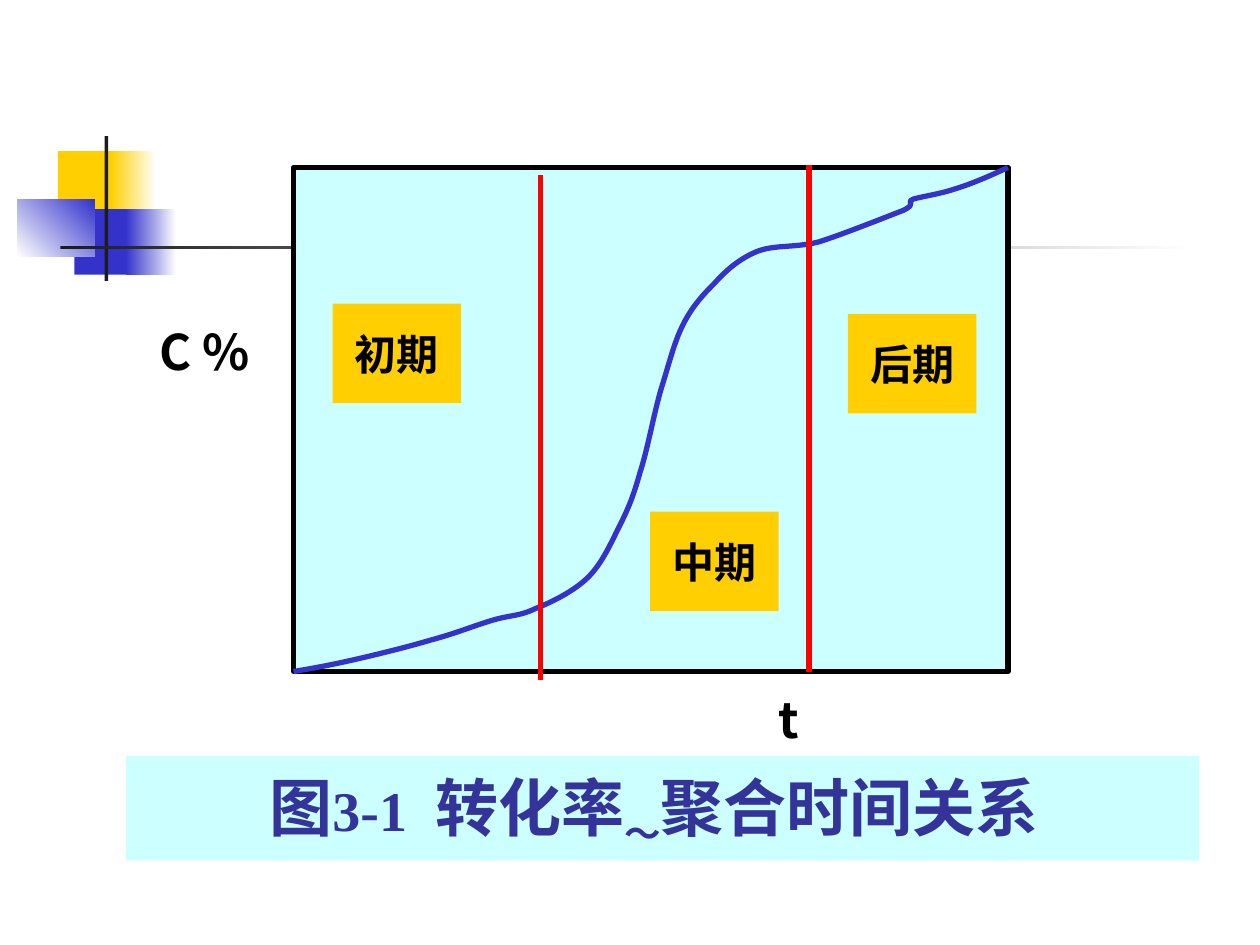
from lxml import etree
from pptx import Presentation
from pptx.dml.color import RGBColor
from pptx.enum.shapes import MSO_CONNECTOR, MSO_SHAPE
from pptx.enum.text import MSO_ANCHOR, PP_ALIGN
from pptx.oxml.ns import qn
from pptx.util import Inches, Pt

RECT = MSO_SHAPE.RECTANGLE
STRAIGHT = MSO_CONNECTOR.STRAIGHT
CENTER, LEFT = PP_ALIGN.CENTER, PP_ALIGN.LEFT
MIDDLE, BOTTOM, TOP = MSO_ANCHOR.MIDDLE, MSO_ANCHOR.BOTTOM, MSO_ANCHOR.TOP

SANS, SERIF, LABEL = "Noto Sans CJK SC", "Times New Roman", "Karla"
YELLOW, BLUE, DARK, WHITE = "FFCF01", "3333CC", "1C1C1C", "FFFFFF"
CYAN, BLACK, RED, NAVY = "CCFFFF", "000000", "FF0000", "333399"

DECOR = [
    ((0.46, 1.2, 0.48, 0.52), (YELLOW,), 0),
    ((0.88, 1.2, 0.36, 0.52), (YELLOW, WHITE), 0),
    ((0.59, 1.66, 0.46, 0.52), (BLUE,), 0),
    ((1, 1.66, 0.4, 0.52), (BLUE, WHITE), 0),
    ((0.14, 1.58, 0.61, 0.46), (WHITE, BLUE), 45),
    ((0.83, 1.08, 0.03, 1.15), (DARK,), 0),
    ((0.48, 1.95, 9, 0.03), (DARK, WHITE), 0),
]
TITLE = [
    ("图", 36, SANS, 0),
    ("3-1  ", 32, SERIF, 0),
    ("转化率", 36, SANS, 0),
    ("～", 36, SANS, -25000),
    ("聚合时间关系", 36, SANS, 0),
    (" ", 44, SANS, 0),
]
TITLE_BOX = (1, 6, 8.52, 0.83)
PLOT = (2.33, 1.33, 5.67, 4)
CURVE = [
    (8, 1.33),
    (7.85, 1.4), (7.71, 1.46), (7.58, 1.5),
    (7.46, 1.54), (7.32, 1.56), (7.25, 1.58),
    (7.18, 1.61), (7.29, 1.61), (7.17, 1.67),
    (7.04, 1.72), (6.69, 1.86), (6.5, 1.92),
    (6.31, 1.97), (6.14, 1.94), (6, 2),
    (5.86, 2.06), (5.76, 2.15), (5.67, 2.25),
    (5.57, 2.35), (5.49, 2.44), (5.42, 2.58),
    (5.35, 2.72), (5.31, 2.89), (5.25, 3.08),
    (5.19, 3.28), (5.14, 3.57), (5.08, 3.75),
    (5.03, 3.93), (4.99, 4.03), (4.92, 4.17),
    (4.85, 4.31), (4.78, 4.47), (4.67, 4.58),
    (4.56, 4.69), (4.38, 4.78), (4.25, 4.83),
    (4.13, 4.89), (4.06, 4.88), (3.92, 4.92),
    (3.78, 4.96), (3.61, 5.03), (3.42, 5.08),
    (3.22, 5.14), (2.93, 5.21), (2.75, 5.25),
    (2.57, 5.29), (2.39, 5.32), (2.33, 5.33),
]
AXES = [("C %", (1.17, 2.5, 1.17, 0.57)), ("t", (6.08, 5.42, 0.75, 0.57))]
DIVIDERS = [(4.29, 1.39, 5.4), (6.42, 1.31, 5.33)]
STAGES = [("初期", 2.64, 2.41), ("中期", 5.16, 4.06), ("后期", 6.73, 2.49)]
STAGE_SIZE = (1.02, 0.79)


def rgb(color):
    return RGBColor.from_string(color)


def set_line(sp, color, width=3):
    sp.line.color.rgb = rgb(color)
    sp.line.width = Pt(width)


def add_rect(s, box, colors, angle=0):
    sp = s.shapes.add_shape(RECT, *map(Inches, box))
    sp.shadow.inherit = False
    sp.line.fill.background()
    if len(colors) == 1:
        sp.fill.solid()
        sp.fill.fore_color.rgb = rgb(colors[0])
    else:
        sp.fill.gradient()
        sp.fill.gradient_angle = angle
        for stop, color, pos in zip(sp.fill.gradient_stops, colors, (0, 1)):
            stop.color.rgb = rgb(color)
            stop.position = pos
    return sp


def add_text(sp, runs, color, align, anchor, wrap=True):
    tf = sp.text_frame
    tf.word_wrap = wrap
    tf.vertical_anchor = anchor
    p = tf.paragraphs[0]
    p.alignment = align
    for text, size, font, baseline in runs:
        r = p.add_run()
        r.text = text
        r.font.size = Pt(size)
        r.font.bold = True
        r.font.color.rgb = rgb(color)
        r.font.name = font
        props = r.font._element
        etree.SubElement(props, qn("a:ea")).set("typeface", SANS)
        if baseline:
            props.set("baseline", str(baseline))


def add_curve(s, points):
    start, *rest = [(Inches(x), Inches(y)) for x, y in points]
    builder = s.shapes.build_freeform(*start)
    builder.add_line_segments(rest, close=False)
    sp = builder.convert_to_shape()
    segments = list(sp._element.iter(qn("a:lnTo")))
    for i in range(0, len(segments), 3):
        first, *others = segments[i:i + 3]
        first.tag = qn("a:cubicBezTo")
        for seg in others:
            first.append(seg[0])
            seg.getparent().remove(seg)
    sp.shadow.inherit = False
    sp.fill.background()
    set_line(sp, BLUE)


def add_divider(s, x, top, bottom):
    line = s.shapes.add_connector(STRAIGHT, *map(Inches, (x, top, x, bottom)))
    set_line(line, RED)
    etree.SubElement(line._element.spPr, qn("a:effectLst"))


def main():
    prs = Presentation()
    prs.slide_width, prs.slide_height = Inches(10), Inches(7.5)
    s = prs.slides.add_slide(prs.slide_layouts[6])
    for box, colors, angle in DECOR:
        add_rect(s, box, colors, angle)
    add_text(add_rect(s, TITLE_BOX, (CYAN,)), TITLE, NAVY, CENTER, BOTTOM)
    set_line(add_rect(s, PLOT, (CYAN,)), BLACK)
    add_curve(s, CURVE)
    for text, box in AXES:
        sp = s.shapes.add_textbox(*map(Inches, box))
        add_text(sp, [(text, 28, SANS, 0)], BLACK, LEFT, TOP)
    for x, top, bottom in DIVIDERS:
        add_divider(s, x, top, bottom)
    for text, x, y in STAGES:
        sp = add_rect(s, (x, y, *STAGE_SIZE), (YELLOW,))
        add_text(sp, [(text, 24, LABEL, 0)], BLACK, CENTER, MIDDLE, wrap=False)
    prs.save("out.pptx")


if __name__ == "__main__":
    main()
